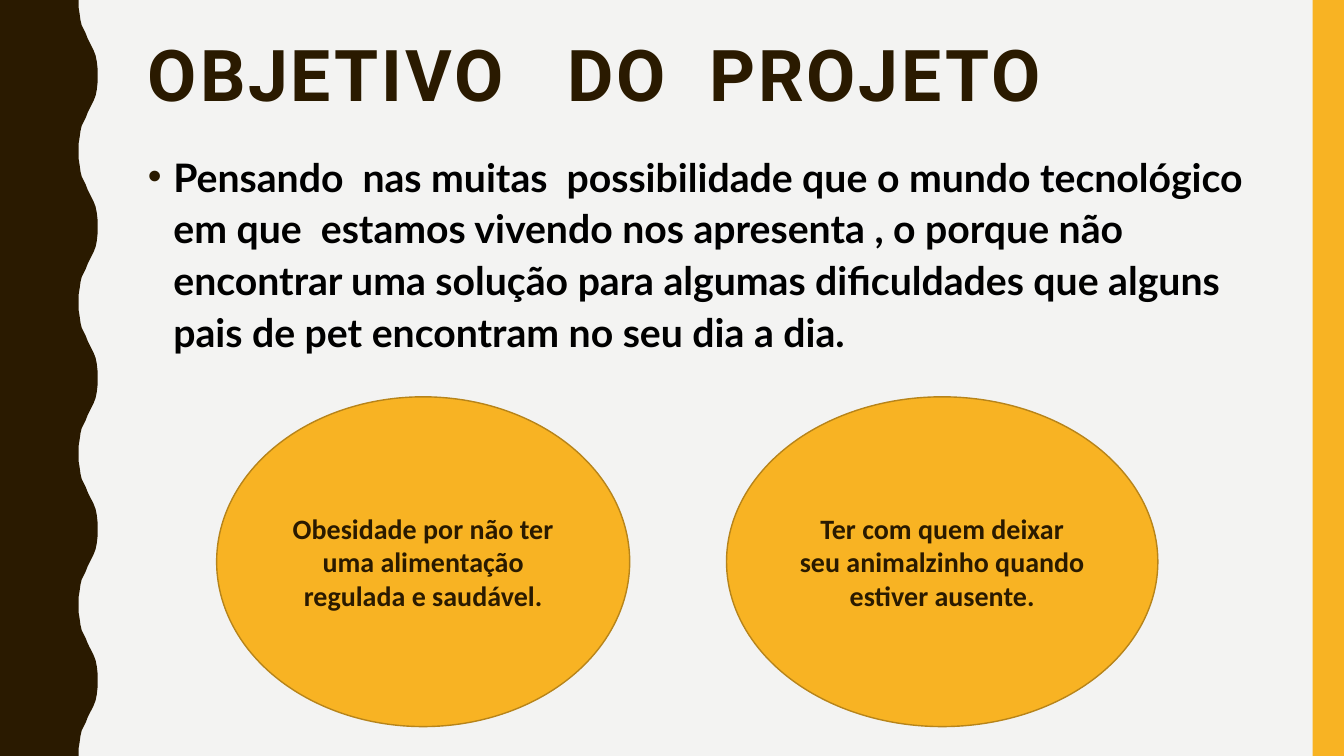
import pptx
import pptx.util
import pptx.dml.color
import pptx.enum.shapes
import pptx.enum.text
import pptx.oxml
import pptx.oxml.ns

Cm = pptx.util.Cm
Pt = pptx.util.Pt
SHAPE = pptx.enum.shapes.MSO_SHAPE
ALIGN = pptx.enum.text.PP_ALIGN
ANCHOR = pptx.enum.text.MSO_ANCHOR
BROWN, GOLD = "2A1A00", "F8B323"


def paint(part, color):
    """Give a fill or a font a solid colour."""
    if hasattr(part, "solid"):
        part.solid()
        part.fore_color.rgb = pptx.dml.color.RGBColor.from_string(color)
    else:
        part.color.rgb = pptx.dml.color.RGBColor.from_string(color)


def write(frame, text, face, size, color):
    """Fill a text frame with one bold paragraph and return it."""
    frame.word_wrap = True
    para = frame.paragraphs[0]
    para.text = text
    font = para.runs[0].font
    font.name, font.size, font.bold = face, Pt(size), True
    paint(font, color)
    return para


deck = pptx.Presentation()
deck.slide_width, deck.slide_height = Cm(33.87), Cm(19.05)
slide = deck.slides.add_slide(deck.slide_layouts[6])
shapes = slide.shapes
paint(slide.background.fill, "F3F3F2")

# Wavy left edge: one half wave, mirrored and repeated five times
half = [(1.98, 0), (1.98, 0.18), (2.01, 0.36), (2.03, 0.51), (2.06, 0.64),
        (2.11, 0.74), (2.16, 0.84), (2.21, 0.97), (2.26, 1.07), (2.31, 1.17),
        (2.36, 1.27), (2.41, 1.4), (2.44, 1.55), (2.46, 1.73), (2.46, 1.9)]
period = 3.81
crest = half + [(x, period - y) for x, y in reversed(half[:-1])]
edge = [(x, y + period * turn) for turn in range(5) for x, y in crest]
points = [(Cm(x), Cm(y)) for x, y in edge + [(0, 19.05)]]
wave = shapes.build_freeform(0, 0)
wave.add_line_segments(points, close=True)
band = wave.convert_to_shape()

# Right stripe
stripe = shapes.add_shape(SHAPE.RECTANGLE, Cm(33.08), 0, Cm(0.79), Cm(19.05))
for part, color in ((band, BROWN), (stripe, GOLD)):
    part.shadow.inherit = False
    paint(part.fill, color)
    part.line.fill.background()

# Title
title = shapes.add_textbox(Cm(3.48), Cm(0.89), Cm(28.27), Cm(4.14))
para = write(title.text_frame, "OBJETIVO   DO  PROJETO", "Roboto", 51, BROWN)
para.line_spacing = 0.9
para.runs[0].font._element.set("spc", "200")

# Bulleted paragraph
body = shapes.add_textbox(Cm(3.48), Cm(3.61), Cm(28.27), Cm(5.84))
para = write(
    body.text_frame,
    "Pensando  nas muitas  possibilidade que o mundo tecnológico em que  "
    "estamos vivendo nos apresenta , o porque não encontrar uma solução para "
    "algumas dificuldades que alguns pais de pet encontram no seu dia a dia.",
    "Lato", 28, "000000")
para.line_spacing = 1.1
para.space_before = Pt(7)
props = para._p.get_or_add_pPr()
props.set("marL", str(Cm(0.64)))
props.set("indent", str(-Cm(0.64)))
space = pptx.oxml.ns.nsdecls("a")
for xml in (f'<a:buClr {space}><a:srgbClr val="{BROWN}"/></a:buClr>',
            f'<a:buFont {space} typeface="Arial"/>',
            f'<a:buChar {space} char="•"/>'):
    props.append(pptx.oxml.parse_xml(xml))

# Two goals
goals = [
    (18.31, 10.87, "Ter com quem deixar seu animalzinho quando estiver ausente."),
    (5.46, 10.41, "Obesidade por não ter uma alimentação regulada e saudável."),
]
for left, width, text in goals:
    oval = shapes.add_shape(SHAPE.OVAL, Cm(left), Cm(10), Cm(width), Cm(8.31))
    oval.shadow.inherit = False
    paint(oval.fill, GOLD)
    paint(oval.line.fill, "B7841A")
    oval.line.width = Pt(1)
    oval.text_frame.vertical_anchor = ANCHOR.MIDDLE
    para = write(oval.text_frame, text, "Calibri", 20, BROWN)
    para.alignment = ALIGN.CENTER

deck.save("out.pptx")
